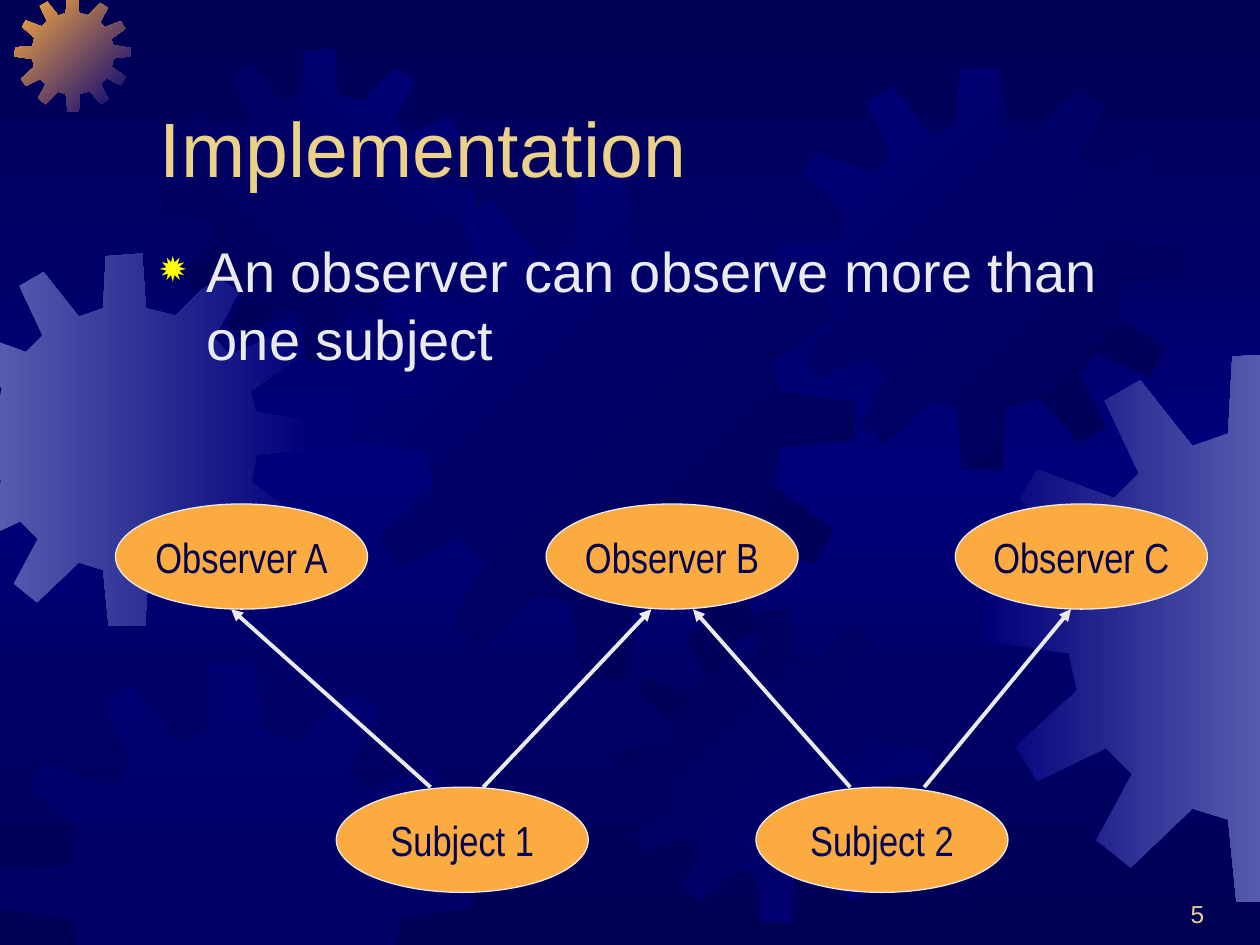
from copy import deepcopy

from lxml import etree
from pptx import Presentation
from pptx.dml.color import RGBColor
from pptx.enum.shapes import MSO_CONNECTOR, MSO_SHAPE
from pptx.enum.text import MSO_ANCHOR, MSO_AUTO_SIZE, PP_ALIGN
from pptx.oxml.ns import qn
from pptx.util import Cm, Pt

ELLIPSE, STRAIGHT = MSO_SHAPE.OVAL, MSO_CONNECTOR.STRAIGHT
LEFT, CENTER, RIGHT = PP_ALIGN.LEFT, PP_ALIGN.CENTER, PP_ALIGN.RIGHT
TOP, MIDDLE, BOTTOM = MSO_ANCHOR.TOP, MSO_ANCHOR.MIDDLE, MSO_ANCHOR.BOTTOM
NO_AUTOFIT = MSO_AUTO_SIZE.NONE

COLORS = {
    "night": "000054", "navy": "00007A", "steel": "555BAD", "orange": "FCAB40",
    "gold": "EBD189", "white": "EAEAEA", "yellow": "FFFF00",
}
SLIDE_WIDTH, SLIDE_HEIGHT = 25.4, 19.05
GEAR_SIZE = 401
GEAR_OUTLINE = [
    (255, 67), (223, 59), (219, 0), (180, 3), (177, 59), (151, 68),
    (113, 20), (87, 35), (112, 88), (94, 106), (38, 85), (25, 107),
    (68, 145), (61, 174), (1, 178), (0, 210), (61, 219), (67, 246),
    (22, 287), (38, 312), (88, 288), (107, 307), (81, 355), (106, 375),
    (151, 332), (177, 340), (183, 400), (222, 401), (226, 339), (259, 330),
    (299, 374), (325, 358), (299, 306), (316, 284), (368, 309), (384, 281),
    (336, 246), (342, 216), (401, 210), (400, 180), (341, 171), (335, 148),
    (383, 114), (367, 87), (313, 109), (296, 91), (323, 41), (297, 25),
]
GEARS = [
    (-1.24, 5.11, 7.52, "steel", "navy", 0),
    (0.3, -0.08, 2.33, "orange", "navy", 45),
    (3.3, 0.99, 6.3, "night", "navy", 315),
    (7.04, 3.53, 10.2, "navy", "night", 45),
    (0, 13.34, 9.5, "navy", None, 0),
    (12.47, 12.29, 6.3, "night", "navy", 45),
    (15.7, 1.35, 8.13, "navy", "night", 45),
    (19.86, 7.11, 11.1, "navy", "steel", 0),
]
NODE_WIDTH, NODE_HEIGHT = 5.08, 2.12
NODES = {
    "Subject 1": (4.45, 5.71), "Subject 2": (12.91, 5.71),
    "Observer A": (0, 0), "Observer B": (8.68, 0), "Observer C": (16.93, 0),
}
LINKS = [
    ("Observer A", -0.21, "Subject 1", -0.64),
    ("Observer B", -0.42, "Subject 1", 0.42),
    ("Observer B", 0.42, "Subject 2", -0.64),
    ("Observer C", -0.21, "Subject 2", 0.85),
]


def rgb(name):
    """Return the named colour."""
    return RGBColor.from_string(COLORS[name])


def apply(target, values):
    """Set every attribute in values on target."""
    for name, value in values.items():
        setattr(target, name, value)


def set_box(part, left, top, width, height):
    """Place a part in a box given in centimetres."""
    apply(part, {"left": Cm(left), "top": Cm(top), "width": Cm(width), "height": Cm(height)})


def write(part, text, size, color, font="Arial", align=LEFT, anchor=TOP, wrap=True):
    """Write one formatted paragraph into a part and return it."""
    frame = part.text_frame
    apply(frame, {"text": text, "auto_size": NO_AUTOFIT, "word_wrap": wrap,
                  "vertical_anchor": anchor})
    paragraph = frame.paragraphs[0]
    paragraph.alignment = align
    run_font = paragraph.runs[0].font
    apply(run_font, {"size": Pt(size), "name": font})
    run_font.color.rgb = rgb(color)
    return paragraph


def fill_gradient(fill, colors, angle):
    """Fill with evenly spaced colours at a clockwise angle."""
    fill.gradient()
    fill.gradient_angle = -angle % 360
    for index, (stop, color) in enumerate(zip(fill.gradient_stops, colors)):
        stop.position = index / (len(colors) - 1)
        stop.color.rgb = rgb(color)


def paint_background(slide):
    """Shade the background from night to navy and back."""
    fill = slide.background.fill
    fill_gradient(fill, ["night", "navy"], 90)
    stops = next(slide.element.iter(qn("a:gsLst")))
    stops.append(deepcopy(stops[0]))
    fill_gradient_stops = zip(fill.gradient_stops, (0, 0.5, 1))
    for stop, position in fill_gradient_stops:
        stop.position = position


def clip(points, axis, limit, side):
    """Cut a polygon at a limit, keeping what is below (1) or above (-1) it."""
    kept = []
    for start, end in zip(points, points[1:] + points[:1]):
        start_gap, end_gap = (side * (limit - point[axis]) for point in (start, end))
        if start_gap >= 0:
            kept.append(start)
        if start_gap * end_gap < 0:
            share = start_gap / (start_gap - end_gap)
            kept.append(tuple(a + share * (b - a) for a, b in zip(start, end)))
    return kept


def add_gear(slide, left, top, size, color, end_color, angle):
    """Draw a gear in a square box, cut at the slide edges."""
    scale = size / GEAR_SIZE
    points = [(left + x * scale, top + y * scale) for x, y in GEAR_OUTLINE]
    for axis, limit in enumerate((SLIDE_WIDTH, SLIDE_HEIGHT)):
        points = clip(clip(points, axis, 0, -1), axis, limit, 1)
    corners = [(Cm(x), Cm(y)) for x, y in points]
    builder = slide.shapes.build_freeform(*corners[0])
    builder.add_line_segments(corners[1:], close=True)
    gear = builder.convert_to_shape()
    gear.shadow.inherit = False
    gear.line.fill.background()
    if end_color:
        fill_gradient(gear.fill, [color, end_color], angle)
    else:
        gear.fill.solid()
        gear.fill.fore_color.rgb = rgb(color)
        solid = next(gear.element.spPr.iter(qn("a:srgbClr")))
        etree.SubElement(solid, qn("a:alpha"), val="50000")


def add_title(slide, text, *box):
    """Place the title placeholder in front of the gears."""
    title = slide.shapes.title
    set_box(title, *box)
    write(title, text, 44, "gold", anchor=BOTTOM)
    title.element.getparent().append(title.element)


def add_bullet(slide, text, *box):
    """Write the bulleted statement."""
    statement = slide.shapes.add_textbox(*map(Cm, box))
    paragraph = write(statement, text, 32, "white")
    paragraph.space_before = Pt(8)
    properties = paragraph._p.get_or_add_pPr()
    properties.set("marL", str(Cm(0.95)))
    properties.set("indent", str(Cm(-0.95)))
    bullet_color = etree.SubElement(properties, qn("a:buClr"))
    etree.SubElement(bullet_color, qn("a:srgbClr"), val=COLORS["yellow"])
    etree.SubElement(properties, qn("a:buSzPct"), val="80000")
    etree.SubElement(properties, qn("a:buChar"), char="✹")


def add_page_number(slide, number, *box):
    """Write the page number at the lower right."""
    page = slide.shapes.add_textbox(*map(Cm, box))
    write(page, number, 14, "gold", align=RIGHT, anchor=BOTTOM)


def add_diagram(slide, left, top):
    """Draw the observers, the subjects and the arrows between them."""
    for label, (x, y) in NODES.items():
        box = (left + x, top + y, NODE_WIDTH, NODE_HEIGHT)
        node = slide.shapes.add_shape(ELLIPSE, *map(Cm, box))
        node.shadow.inherit = False
        node.fill.solid()
        node.fill.fore_color.rgb = rgb("orange")
        node.line.color.rgb = rgb("white")
        node.line.width = Pt(0.75)
        write(node, label, 24, "night", "Arial Narrow", CENTER, MIDDLE, False)
    center = left + NODE_WIDTH / 2
    for observer, observer_shift, subject, subject_shift in LINKS:
        observer_x, observer_y = NODES[observer]
        subject_x, subject_y = NODES[subject]
        ends = (center + observer_x + observer_shift, top + observer_y + NODE_HEIGHT,
                center + subject_x + subject_shift, top + subject_y)
        arrow = slide.shapes.add_connector(STRAIGHT, *map(Cm, ends))
        arrow.line.color.rgb = rgb("white")
        arrow.line.width = Pt(2.25)
        etree.SubElement(arrow.line._get_or_add_ln(), qn("a:headEnd"), type="triangle")
        etree.SubElement(arrow.element.spPr, qn("a:effectLst"))


def main():
    """Build the slide and save it."""
    deck = Presentation()
    apply(deck, {"slide_width": Cm(SLIDE_WIDTH), "slide_height": Cm(SLIDE_HEIGHT)})
    slide = deck.slides.add_slide(deck.slide_layouts[5])
    paint_background(slide)
    for gear in GEARS:
        add_gear(slide, *gear)
    add_page_number(slide, "5", 19.25, 17.58, 5.28, 1.27)
    add_title(slide, "Implementation", 2.97, 0.84, 21.59, 3.18)
    add_bullet(slide, "An observer can observe more than one subject", 2.97, 4.65, 21.59, 11.43)
    add_diagram(slide, 2.33, 10.16)
    deck.save("out.pptx")


if __name__ == "__main__":
    main()
